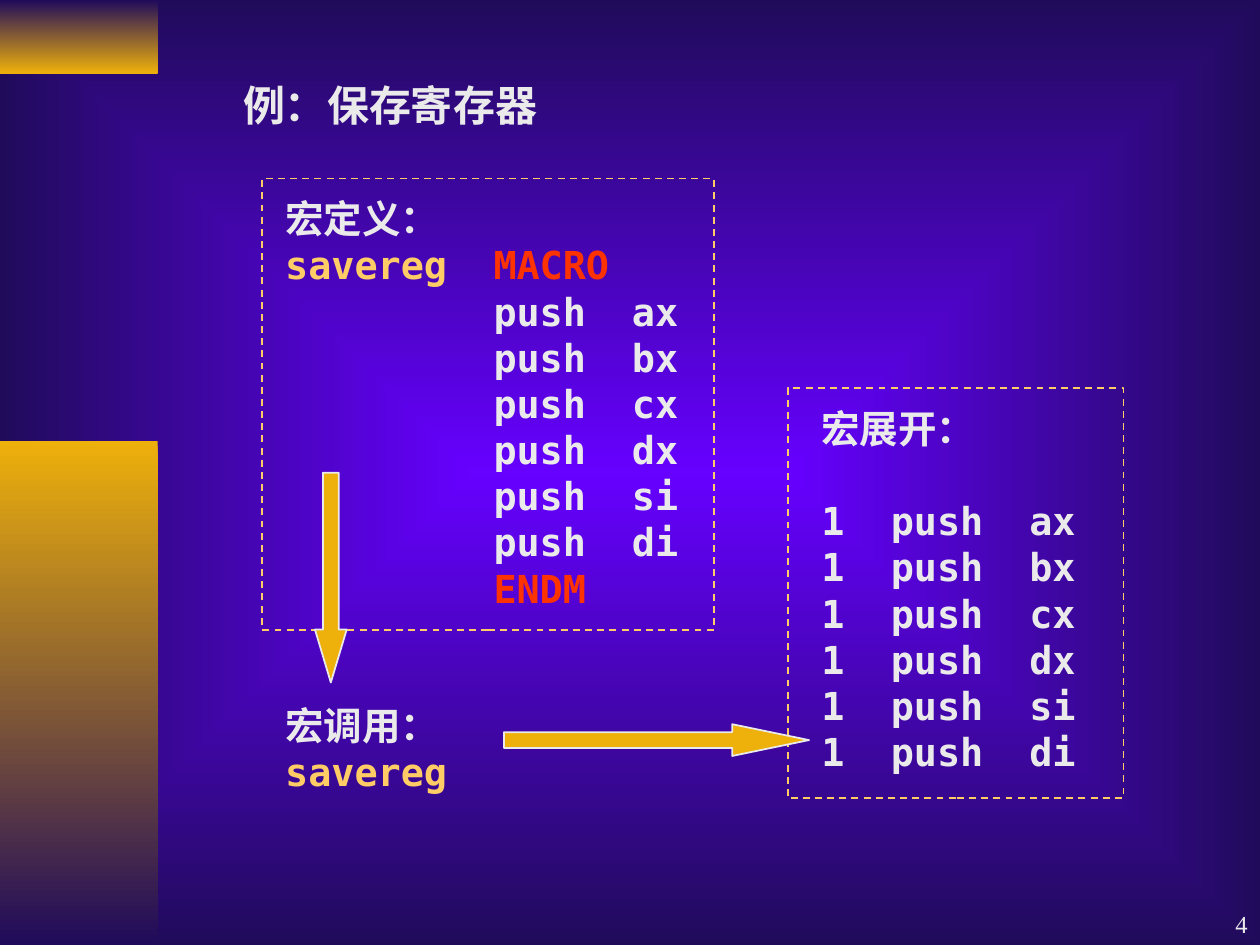
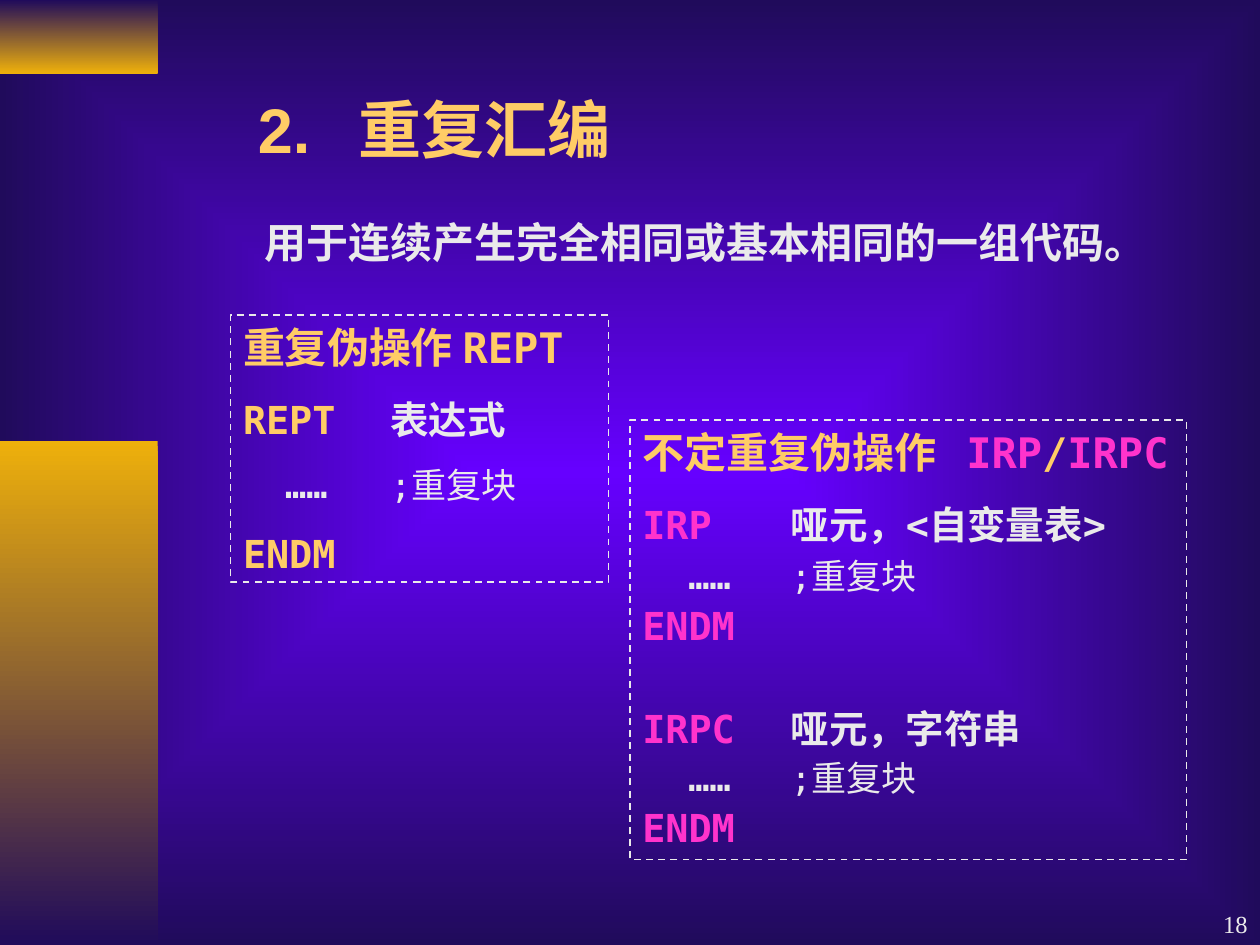
from lxml.etree import SubElement as Sub
from pptx import Presentation
from pptx.dml.color import RGBColor
from pptx.enum.dml import MSO_LINE as Dash
from pptx.enum.shapes import MSO_SHAPE as Kind
from pptx.enum.text import MSO_ANCHOR as Anchor, PP_ALIGN as Align
from pptx.oxml.ns import qn
from pptx.util import Cm, Pt

rgb = RGBColor.from_string
NAVY, BLUE, GOLD = "200B5B", "6600FF", "EEB00B"
PALE, SAND, RED, PINK = "EAEAEA", "FFCC66", "FF3300", "FF33CC"
MONO, SERIF, SANS = "DejaVu Sans Mono", "Times New Roman", "Arial"


def draw(page, kind, x, y, w, h, fill=None, line=None):
    """Add a preset shape, or a text box when kind is None."""
    place = Cm(x), Cm(y), Cm(w), Cm(h)
    if kind is None:
        shape = page.shapes.add_textbox(*place)
    else:
        shape = page.shapes.add_shape(kind, *place)
        shape.shadow.inherit = False
        if fill:
            shape.fill.solid()
            shape.fill.fore_color.rgb = rgb(fill)
        else:
            shape.fill.background()
        if line:
            shape.line.color.rgb = rgb(line)
            shape.line.width = Pt(1)
        else:
            shape.line.fill.background()
        if not fill:
            shape.line.dash_style = Dash.DASH
    shape.text_frame.word_wrap = True
    shape.text_frame.vertical_anchor = Anchor.TOP
    return shape


def write(shape, *runs, size=22, face=MONO, bold=True, before=0, pitch=None,
          stops=(), align=Align.LEFT):
    """Add one paragraph; a run is (text, colour) or (text, colour, bold)."""
    frame = shape.text_frame
    first = not frame.paragraphs[0].runs
    para = frame.paragraphs[0] if first else frame.add_paragraph()
    para.alignment = align
    if pitch:
        para.line_spacing = pitch
    if before:
        para.space_before = Pt(before)
    if stops:
        tabs = Sub(para._p.get_or_add_pPr(), qn("a:tabLst"))
        for stop in stops:
            Sub(tabs, qn("a:tab"), pos=str(Cm(stop)), algn="l")
    para.font.size, para.font.name, para.font.bold = Pt(size), face, bold
    for text, colour, *weight in runs:
        run = para.add_run()
        run.text = text
        run.font.color.rgb = rgb(colour)
        if weight:
            run.font.bold = weight[0]


deck = Presentation()
deck.slide_width, deck.slide_height = Cm(25.4), Cm(19.05)

# Shared look: glowing background, two gold bands, page number
pages = []
for number in ("4", "18"):
    page = deck.slides.add_slide(deck.slide_layouts[6])
    pages.append(page)
    back = page.background.fill
    back.gradient()
    for stop, colour in zip(back.gradient_stops, (BLUE, NAVY)):
        stop.color.rgb = rgb(colour)
    lin = page.element.find(".//" + qn("a:lin"))
    glow = Sub(lin.getparent(), qn("a:path"), path="rect")
    Sub(glow, qn("a:fillToRect"), l="50000", t="50000", r="50000", b="50000")
    lin.getparent().remove(lin)

    for top, high, tones in ((0, 1.48, (NAVY, GOLD)), (8.89, 10.16, (GOLD, NAVY))):
        band = draw(page, Kind.RECTANGLE, 0, top, 3.18, high, GOLD)
        band.fill.gradient()
        band.fill.gradient_angle = 270
        for stop, colour in zip(band.fill.gradient_stops, tones):
            stop.color.rgb = rgb(colour)

    foot = draw(page, None, 20.11, 17.78, 5.29, 1.27)
    foot.text_frame.vertical_anchor = Anchor.BOTTOM
    write(foot, (number, PALE), size=14, face=SERIF, bold=False, align=Align.RIGHT)

save, rept = pages
regs = ("ax", "bx", "cx", "dx", "si", "di")

# Slide 1: title
head = draw(save, None, 4.65, 1.48, 9.73, 1.27)
write(head, ("例：保存寄存器", PALE), size=24, face=SERIF)

# Macro expansion
grown = draw(save, None, 16.31, 8.04, 6.15, 7.72)
write(grown, ("宏展开：", PALE), face=SERIF)
for reg in regs:
    write(grown, (f"1\tpush\t{reg}", PALE), stops=(1.4, 4.19),
          before=26.3 if reg == "ax" else 0)

# Macro definition
macro = draw(save, None, 5.5, 3.81, 9.1, 8.7)
cols = 4.2, 6.99
write(macro, ("宏定义：", PALE), face=SERIF)
write(macro, ("savereg\t", SAND), ("MACRO", RED), stops=cols)
for reg in regs:
    write(macro, (f"\tpush\t{reg}", PALE), stops=cols)
write(macro, ("\tENDM", RED), stops=cols)

# Macro call
call = draw(save, None, 5.5, 14.02, 5, 2.1)
write(call, ("宏调用：", PALE))
write(call, ("savereg", SAND))

# Frames and arrows
draw(save, Kind.RECTANGLE, 5.29, 3.6, 9.1, 9.1, line=SAND)
draw(save, Kind.RECTANGLE, 15.88, 7.83, 6.77, 8.26, line=SAND)
down = draw(save, Kind.DOWN_ARROW, 6.35, 9.53, 0.64, 4.23, GOLD, PALE)
down.adjustments[1] = 1.67
right = draw(save, Kind.RIGHT_ARROW, 10.16, 14.6, 6.15, 0.64, GOLD, PALE)
right.adjustments[1] = 2.42

# Slide 2: title and lead
head = draw(rept, None, 4.95, 1.7, 7.65, 1.78)
write(head, ("2.\t重复汇编", SAND), size=36, face=SANS, stops=(2.03,))
lead = draw(rept, None, 5.08, 4.24, 18.85, 1.27)
write(lead, ("用于连续产生完全相同或基本相同的一组代码。", PALE), size=24, face=SERIF)

# Fixed repeat
block = ("\t……\t", PALE), (";重复块", PALE, False)
fixed = draw(rept, Kind.RECTANGLE, 4.65, 6.35, 7.62, 5.38, line=PALE)
cols = 0.85, 2.97
write(fixed, ("重复伪操作 REPT", SAND), size=24)
write(fixed, ("REPT\t", SAND), ("表达式", PALE), before=13.8, stops=cols)
write(fixed, *block, size=20, before=12.5, stops=cols)
write(fixed, ("ENDM", SAND), before=13.8)

# Indefinite repeat
loose = draw(rept, Kind.RECTANGLE, 12.7, 8.47, 11.22, 8.86, line=PALE)
cols = 0.93, 2.99
write(loose, ("不定重复伪操作\t", SAND), ("IRP", PINK), ("/", SAND), ("IRPC", PINK),
      size=24, stops=(6.53,))
for word, args, gap, pitch in (("IRP", "哑元，<自变量表>", 13.8, None),
                               ("IRPC", "哑元，字符串", 43, 0.6)):
    write(loose, (f"{word}\t", PINK), (args, PALE), before=gap, pitch=pitch, stops=cols)
    write(loose, *block, size=20, before=12.5, pitch=0.6, stops=cols)
    write(loose, ("ENDM", PINK), before=13.8, pitch=0.6)

deck.save("out.pptx")
